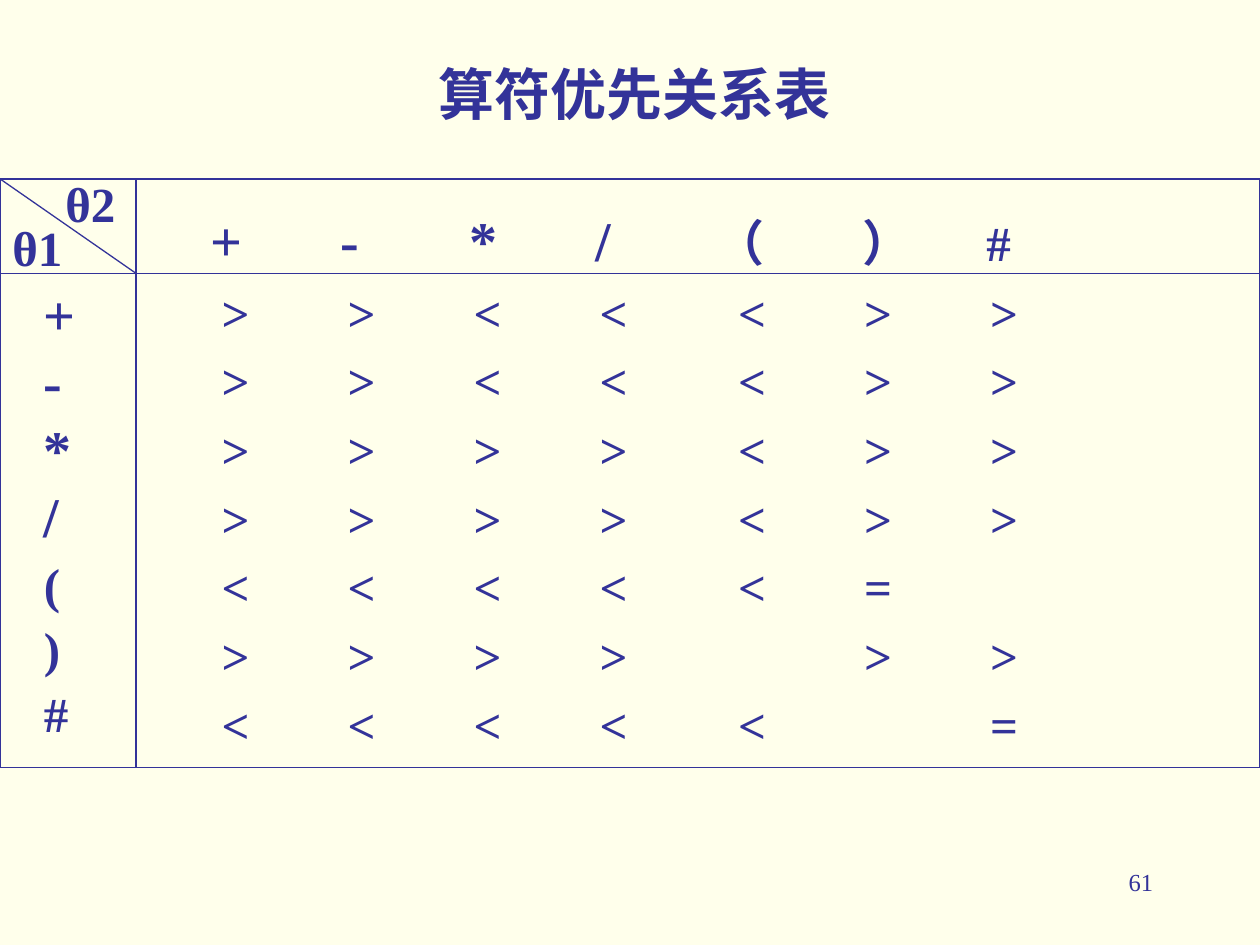
from lxml import etree
from pptx import Presentation
from pptx.dml.color import RGBColor
from pptx.enum import shapes, text
from pptx.oxml.ns import qn
from pptx.util import Inches, Pt

INK, PAPER, FONT = "333399", "FFFFEB", "Times New Roman"

TITLE = "算符优先关系表"
PAGE = "61"
CORNER = [("θ1", (0, 1.68, 1.01, 0.57)), ("θ2", (0.42, 1.33, 0.84, 0.57))]
# operator, size, line spacing
ROW_LABELS = [("+", 32, 1), ("-", 32, 1), ("*", 32, 1), ("/", 32, 1),
              ("(", 28, 1.1), (")", 28, 1.1), ("#", 28, 1.1)]
# operator, size, tab stop
HEADER = [("+", 32, 0.49), ("-", 32, 1.52), ("*", 32, 2.55), ("/", 32, 3.55),
          ("（", 28, 4.5), ("）", 28, 5.67), ("#", 28, 6.65)]
RELATIONS = [">><<<>>", ">><<<>>", ">>>><>>", ">>>><>>",
             "<<<<<=", ">>>> >>", "<<<<< ="]
RELATION_STOPS = [0.58, 1.58, 2.58, 3.58, 4.68, 5.68, 6.68]

LEFT, TOP, WIDTH, HEIGHT = 0, 1.42, 10, 4.67
RIGHT, BOTTOM = LEFT + WIDTH, TOP + HEIGHT
SPLIT_X, SPLIT_Y = 1.08, 2.17
RULES = [(LEFT, SPLIT_Y, RIGHT, SPLIT_Y), (SPLIT_X, TOP, SPLIT_X, BOTTOM),
         (LEFT, TOP, SPLIT_X, SPLIT_Y)]


def rgb(value):
    return RGBColor.from_string(value)


def style_line(line):
    line.color.rgb = rgb(INK)
    line.width = Pt(0.75)


def add_box(s, at):
    tf = s.shapes.add_textbox(*map(Inches, at)).text_frame
    tf.word_wrap = True
    return tf


def next_paragraph(tf):
    """Use the box's empty first paragraph before adding more."""
    p = tf.paragraphs[0]
    return tf.add_paragraph() if p.runs else p


def add_run(p, words, size, bold=True):
    r = p.add_run()
    r.text = words
    r.font.name, r.font.size, r.font.bold = FONT, Pt(size), bold
    r.font.color.rgb = rgb(INK)


def add_tabs(p, stops):
    tabs = etree.SubElement(p._p.get_or_add_pPr(), qn("a:tabLst"))
    for stop in stops:
        etree.SubElement(tabs, qn("a:tab"), pos=str(Inches(stop)), algn="l")


def add_label(s, at, words, size, align=text.PP_ALIGN.LEFT, bold=True):
    p = add_box(s, at).paragraphs[0]
    p.alignment = align
    add_run(p, words, size, bold)


def add_grid(s):
    frame = s.shapes.add_shape(shapes.MSO_SHAPE.RECTANGLE,
                               *map(Inches, (LEFT, TOP, WIDTH, HEIGHT)))
    frame.shadow.inherit = False
    frame.fill.background()
    style_line(frame.line)
    for ends in RULES:
        rule = s.shapes.add_connector(shapes.MSO_CONNECTOR.STRAIGHT,
                                      *map(Inches, ends))
        style_line(rule.line)
        etree.SubElement(rule._element.spPr, qn("a:effectLst"))


def add_relations(s):
    tf = add_box(s, (SPLIT_X, 1.58, 8.92, 4.39))
    p = next_paragraph(tf)
    add_tabs(p, [stop for _, _, stop in HEADER])
    for operator, size, _ in HEADER:
        add_run(p, "\t" + operator, size)
    for row in RELATIONS:
        p = next_paragraph(tf)
        p.space_before = Pt(5.6)
        add_tabs(p, RELATION_STOPS)
        add_run(p, "".join("\t" + mark.strip() for mark in row), 28)


def add_row_labels(s):
    tf = add_box(s, (0.25, SPLIT_Y, 0.67, 3.77))
    for operator, size, spacing in ROW_LABELS:
        p = next_paragraph(tf)
        p.line_spacing = float(spacing)
        add_run(p, operator, size)


def main():
    prs = Presentation()
    prs.slide_width, prs.slide_height = Inches(10), Inches(7.5)
    s = prs.slides.add_slide(prs.slide_layouts[6])
    s.background.fill.solid()
    s.background.fill.fore_color.rgb = rgb(PAPER)

    add_label(s, (7.17, 6.83, 2.08, 0.5), PAGE, 14, text.PP_ALIGN.RIGHT, False)
    add_label(s, (0.58, 0.42, 8.92, 0.63), TITLE, 32, text.PP_ALIGN.CENTER)
    add_grid(s)
    add_relations(s)
    add_row_labels(s)
    for words, at in CORNER:
        add_label(s, at, words, 28)
    prs.save("out.pptx")


if __name__ == "__main__":
    main()
